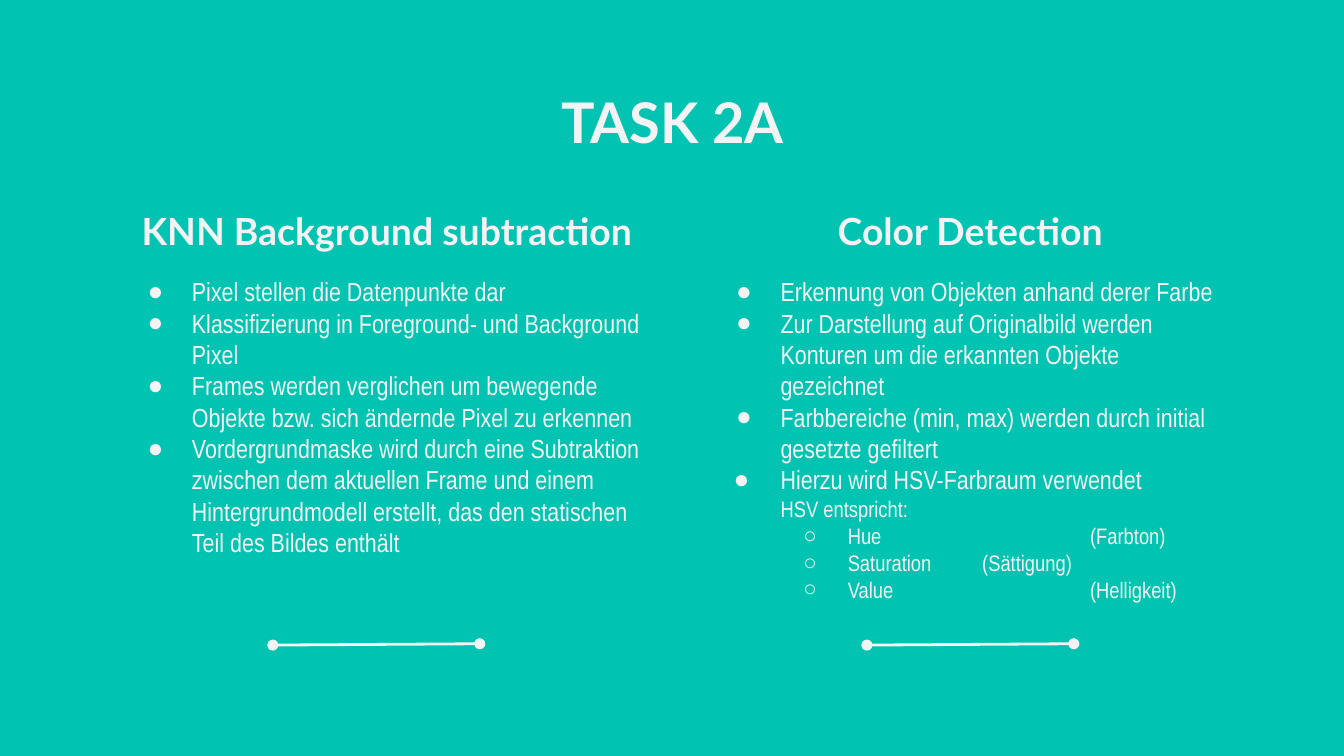
"""Build the TASK 2A slide comparing KNN background subtraction and color detection."""
from dataclasses import dataclass

from lxml import etree
from pptx import Presentation
from pptx.dml.color import RGBColor
from pptx.enum.shapes import MSO_CONNECTOR, MSO_SHAPE
from pptx.enum.text import MSO_ANCHOR, MSO_AUTO_SIZE, PP_ALIGN
from pptx.oxml.ns import qn
from pptx.util import Inches, Pt

RECTANGLE = MSO_SHAPE.RECTANGLE
STRAIGHT = MSO_CONNECTOR.STRAIGHT
TOP, MIDDLE = MSO_ANCHOR.TOP, MSO_ANCHOR.MIDDLE
CENTER, LEFT = PP_ALIGN.CENTER, PP_ALIGN.LEFT
NO_AUTOFIT = MSO_AUTO_SIZE.NONE
COLORS = {"teal": "00C3B1", "light": "F3F3F3"}
HEADING_FONT, BODY_FONT = "Lato", "Arial Narrow"
TITLE_ONLY = 5
PAGE_WIDTH = 10
PAGE_HEIGHT = PAGE_WIDTH * 9 / 16


@dataclass(frozen=True)
class Bullet:
    text: str
    detail: str = ""
    level: int = 0
    hanging: float = 0.33
    size: int = 14


@dataclass(frozen=True)
class Column:
    heading: str
    panel_left: float
    heading_left: float
    heading_width: float
    body_left: float
    body_width: float
    rule_left: float
    bullets: tuple[Bullet, ...]


COLUMNS = (
    Column("KNN Background subtraction", 0.78, 0.88, 4, 0.83, 4.09, 2.03, (
        Bullet("Pixel stellen die Datenpunkte dar"),
        Bullet("Klassifizierung in Foreground- und Background Pixel"),
        Bullet("Frames werden verglichen um bewegende Objekte bzw. sich ändernde "
               "Pixel zu erkennen"),
        Bullet("Vordergrundmaske wird durch eine Subtraktion zwischen dem aktuellen "
               "Frame und einem Hintergrundmodell erstellt, das den statischen Teil "
               "des Bildes enthält"),
    )),
    Column("Color Detection", 5.08, 5.74, 2.96, 5.21, 4, 6.45, (
        Bullet("Erkennung von Objekten anhand derer Farbe"),
        Bullet("Zur Darstellung auf Originalbild werden Konturen um die erkannten "
               "Objekte gezeichnet"),
        Bullet("Farbbereiche (min, max) werden durch initial gesetzte gefiltert"),
        Bullet("Hierzu wird HSV-Farbraum verwendet", "HSV entspricht:", hanging=0.35),
        Bullet("Hue \t\t(Farbton)", level=1, size=12),
        Bullet("Saturation \t(Sättigung)", level=1, size=12),
        Bullet("Value \t\t(Helligkeit)", level=1, size=12),
    )),
)


def color(name: str) -> RGBColor:
    return RGBColor.from_string(COLORS[name])


def add_span(para, text: str, size: int, font: str, bold: bool = False) -> None:
    span = para.add_run()
    span.text = text
    span.font.size, span.font.name, span.font.bold = Pt(size), font, bold
    span.font.color.rgb = color("light")


def format_frame(frame, anchor) -> None:
    frame.word_wrap = True
    frame.auto_size = NO_AUTOFIT
    frame.vertical_anchor = anchor
    frame.margin_left = frame.margin_right = Inches(0.1)
    frame.margin_top = frame.margin_bottom = Inches(0.1)


def write_heading(box, text: str, size: int, anchor) -> None:
    format_frame(box.text_frame, anchor)
    para = box.text_frame.paragraphs[0]
    para.alignment = CENTER
    add_span(para, text, size, HEADING_FONT, bold=True)


def set_bullet(para, bullet: Bullet) -> None:
    properties = para._p.get_or_add_pPr()
    properties.set("marL", str(Inches(0.5 * (bullet.level + 1))))
    properties.set("indent", str(-Inches(bullet.hanging)))
    properties.set("defTabSz", str(Inches(1)))
    bullet_color = etree.SubElement(properties, qn("a:buClr"))
    etree.SubElement(bullet_color, qn("a:srgbClr"), val=COLORS["light"])
    etree.SubElement(properties, qn("a:buFont"), typeface="Arial")
    etree.SubElement(properties, qn("a:buChar"), char="●○"[bullet.level])


def add_panel(page, column: Column) -> None:
    panel = page.shapes.add_shape(RECTANGLE, Inches(column.panel_left), Inches(1.39),
                                  Inches(4.14), Inches(3.62))
    panel.shadow.inherit = False
    panel.fill.solid()
    panel.fill.fore_color.rgb = color("teal")
    fill_color = panel._element.spPr.find(qn("a:solidFill")).find(qn("a:srgbClr"))
    etree.SubElement(fill_color, qn("a:alpha"), val="19000")
    panel.line.fill.background()


def add_body(page, column: Column) -> None:
    box = page.shapes.add_textbox(Inches(column.body_left), Inches(1.95),
                                  Inches(column.body_width), Inches(2.88))
    frame = box.text_frame
    format_frame(frame, TOP)
    for index, bullet in enumerate(column.bullets):
        para = frame.add_paragraph() if index else frame.paragraphs[0]
        para.level = bullet.level
        para.alignment = LEFT
        set_bullet(para, bullet)
        add_span(para, bullet.text, bullet.size, BODY_FONT)
        if bullet.detail:
            para.add_line_break()
            add_span(para, bullet.detail, 12, BODY_FONT)


def add_rule(page, left: float) -> None:
    rule = page.shapes.add_connector(STRAIGHT, Inches(left + 1.54), Inches(4.79),
                                     Inches(left), Inches(4.8))
    rule.line.color.rgb = color("light")
    rule.line.width = Pt(1.5)
    line = rule.line._get_or_add_ln()
    for end in ("a:headEnd", "a:tailEnd"):
        etree.SubElement(line, qn(end), type="oval")
    etree.SubElement(rule._element.spPr, qn("a:effectLst"))


def add_column(page, column: Column) -> None:
    add_panel(page, column)
    add_body(page, column)
    heading = page.shapes.add_textbox(Inches(column.heading_left), Inches(1.47),
                                      Inches(column.heading_width), Inches(0.49))
    write_heading(heading, column.heading, 20, MIDDLE)
    add_rule(page, column.rule_left)


def main() -> None:
    deck = Presentation()
    deck.slide_width, deck.slide_height = Inches(PAGE_WIDTH), Inches(PAGE_HEIGHT)
    page = deck.slides.add_slide(deck.slide_layouts[TITLE_ONLY])
    page.background.fill.solid()
    page.background.fill.fore_color.rgb = color("teal")
    title = page.shapes.title
    title.left, title.top = Inches(0.79), Inches(0.55)
    title.width, title.height = Inches(8.43), Inches(0.63)
    write_heading(title, "TASK 2A", 30, TOP)
    for column in COLUMNS:
        add_column(page, column)
    deck.save("out.pptx")


if __name__ == "__main__":
    main()
